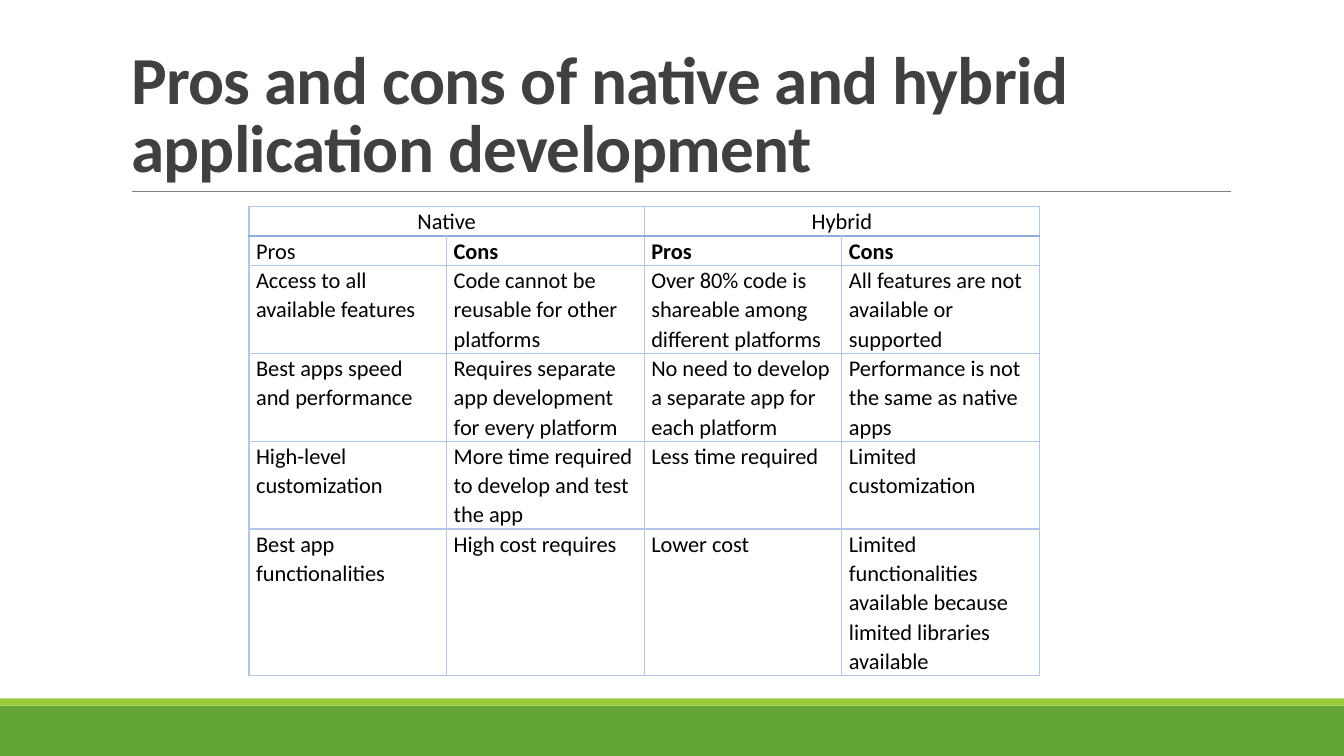
"""Builds a slide that compares native and hybrid application development."""
from dataclasses import dataclass

from pptx import Presentation
from pptx.dml.color import RGBColor
from pptx.enum.shapes import MSO_CONNECTOR, MSO_SHAPE
from pptx.enum.text import MSO_ANCHOR, MSO_AUTO_SIZE, PP_ALIGN
from pptx.oxml.ns import qn
from pptx.util import Inches, Pt
from lxml.etree import SubElement


@dataclass(frozen=True)
class Theme:
    """Colours, font and type sizes of the slide."""
    font: str = "Calibri"
    title_size: float = 48
    table_size: float = 16
    title: str = "404040"
    text: str = "000000"
    rule: str = "808080"
    band: str = "63A537"
    band_edge: str = "99CB38"
    border: str = "B4C6E7"
    header_border: str = "8EAADB"


THEME = Theme()
WIDTH, HEIGHT = 13.33, 7.5
COLUMN_WIDTH = 1.96
LINE_HEIGHT = 0.29
TITLE = "Pros and cons of native and hybrid application development"
PLATFORMS = ["Native", "Hybrid"]
ASPECTS = ["Pros", "Cons", "Pros", "Cons"]
COMPARISON = [
    ["Access to all available features",
     "Code cannot be reusable for other platforms",
     "Over 80% code is shareable among different platforms",
     "All features are not available or supported"],
    ["Best apps speed and performance",
     "Requires separate app development for every platform",
     "No need to develop a separate app for each platform",
     "Performance is not the same as native apps"],
    ["High-level customization",
     "More time required to develop and test the app",
     "Less time required",
     "Limited customization"],
    ["Best app functionalities",
     "High cost requires",
     "Lower cost",
     "Limited functionalities available because limited libraries available"],
]
ROW_LINES = [1, 1, 3, 3, 3, 5]


def add_run(paragraph, words, size, color, bold=False):
    """Add one formatted run to a paragraph and return it."""
    run = paragraph.add_run()
    run.text = words
    run.font.name = THEME.font
    run.font.size = Pt(size)
    run.font.bold = bold
    run.font.color.rgb = RGBColor.from_string(color)
    return run


def add_band(slide, top, height, color):
    """Draw a full-width band without outline."""
    band = slide.shapes.add_shape(
        MSO_SHAPE.RECTANGLE, 0, Inches(top), Inches(WIDTH), Inches(height))
    band.shadow.inherit = False
    band.fill.solid()
    band.fill.fore_color.rgb = RGBColor.from_string(color)
    band.line.fill.background()


def add_rule(slide, left, right, top):
    """Draw the thin horizontal rule below the title."""
    rule = slide.shapes.add_connector(
        MSO_CONNECTOR.STRAIGHT, Inches(left), Inches(top), Inches(right), Inches(top))
    rule.line.color.rgb = RGBColor.from_string(THEME.rule)
    rule.line.width = Pt(0.5)
    SubElement(rule._element.spPr, qn("a:effectLst"))


def set_title(slide, words):
    """Place the title placeholder and fill it."""
    title = slide.shapes.title
    title.left, title.top = Inches(1.2), Inches(0.31)
    title.width, title.height = Inches(11), Inches(1.59)
    frame = title.text_frame
    frame.word_wrap = True
    frame.auto_size = MSO_AUTO_SIZE.NONE
    frame.vertical_anchor = MSO_ANCHOR.BOTTOM
    paragraph = frame.paragraphs[0]
    paragraph.alignment = PP_ALIGN.LEFT
    paragraph.line_spacing = 0.85
    run = add_run(paragraph, words, THEME.title_size, THEME.title, bold=True)
    run.font._element.set("spc", "-50")


def set_border(cell, side, color, points):
    """Give one side of a cell a solid border."""
    border = SubElement(cell._tc.get_or_add_tcPr(), qn(f"a:ln{side}"), w=str(Pt(points)))
    fill = SubElement(border, qn("a:solidFill"))
    SubElement(fill, qn("a:srgbClr"), val=color)


def format_cell(cell, row):
    """Set the insets, borders and empty fill of a cell."""
    cell.margin_left = cell.margin_right = Inches(0.07)
    cell.margin_top = cell.margin_bottom = 0
    cell.vertical_anchor = MSO_ANCHOR.TOP
    header_side = {0: "B", 1: "T"}.get(row)
    for side in "LRTB":
        if side == header_side:
            set_border(cell, side, THEME.header_border, 1.5)
        else:
            set_border(cell, side, THEME.border, 1)
    cell.fill.background()


def write_cell(cell, words, align=PP_ALIGN.LEFT, bold=False):
    """Write the text of a cell."""
    paragraph = cell.text_frame.paragraphs[0]
    paragraph.alignment = align
    paragraph.line_spacing = 1.07
    add_run(paragraph, words, THEME.table_size, THEME.text, bold)


def add_comparison(slide, left, top):
    """Build the table of pros and cons under its two merged headings."""
    columns = len(ASPECTS)
    table = slide.shapes.add_table(
        len(ROW_LINES), columns, Inches(left), Inches(top),
        Inches(columns * COLUMN_WIDTH), Inches(sum(ROW_LINES) * LINE_HEIGHT)).table
    table.first_row = table.horz_banding = False
    for column in table.columns:
        column.width = Inches(COLUMN_WIDTH)
    for index, lines in enumerate(ROW_LINES):
        table.rows[index].height = Inches(lines * LINE_HEIGHT)
        for column in range(columns):
            format_cell(table.cell(index, column), index)
    for index, platform in enumerate(PLATFORMS):
        heading = table.cell(0, 2 * index)
        heading.merge(table.cell(0, 2 * index + 1))
        write_cell(heading, platform, PP_ALIGN.CENTER)
    for row, entries in enumerate([ASPECTS] + COMPARISON, start=1):
        for column, entry in enumerate(entries):
            write_cell(table.cell(row, column), entry, bold=row == 1 and column > 0)


def main():
    """Build and save the slide."""
    presentation = Presentation()
    presentation.slide_width, presentation.slide_height = Inches(WIDTH), Inches(HEIGHT)
    slide = presentation.slides.add_slide(presentation.slide_layouts.get_by_name("Title Only"))
    add_band(slide, 7, 0.5, THEME.band)
    add_band(slide, 6.93, 0.07, THEME.band_edge)
    add_rule(slide, 1.31, 12.21, 1.9)
    set_title(slide, TITLE)
    add_comparison(slide, 2.47, 2.05)
    presentation.save("out.pptx")


if __name__ == "__main__":
    main()
